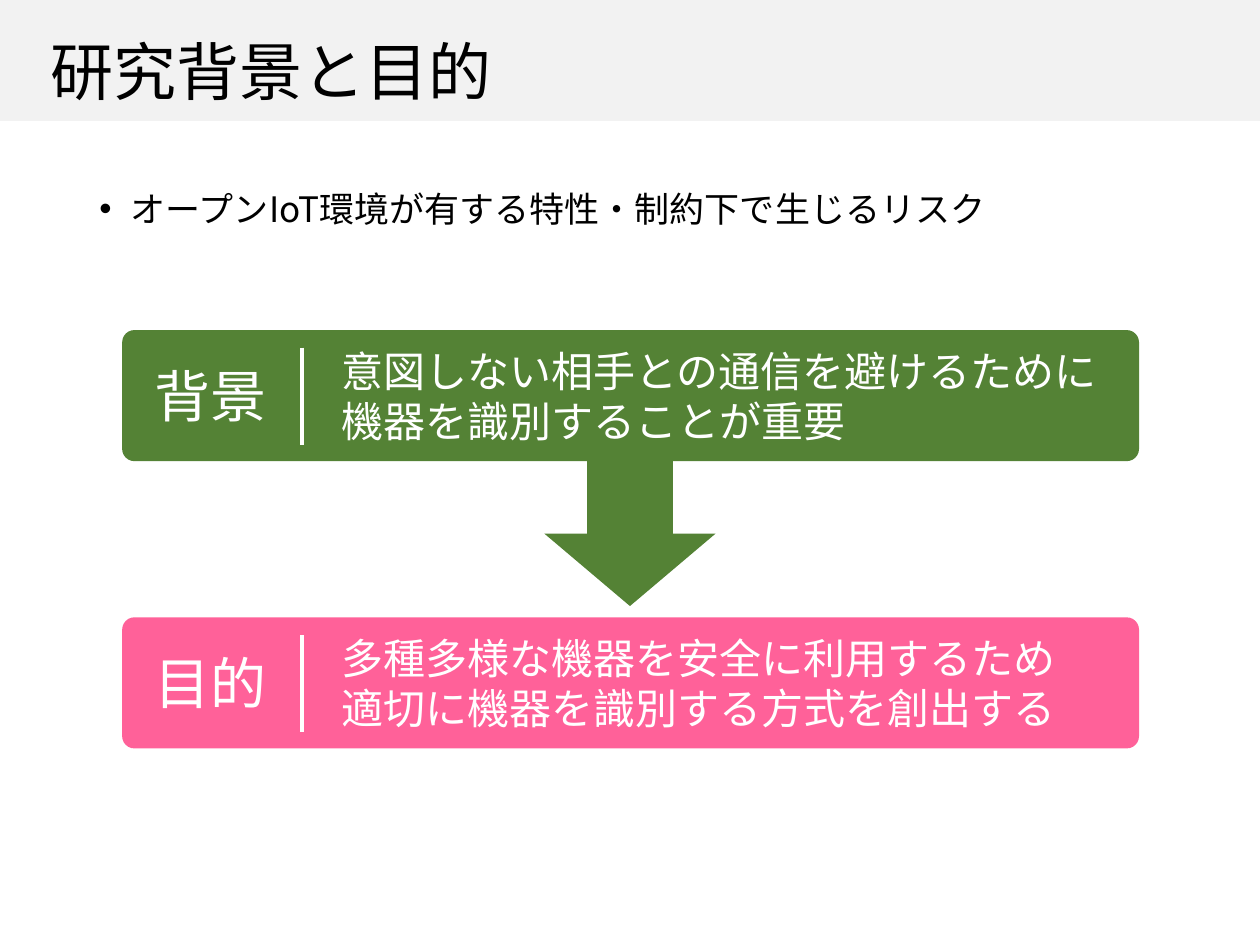
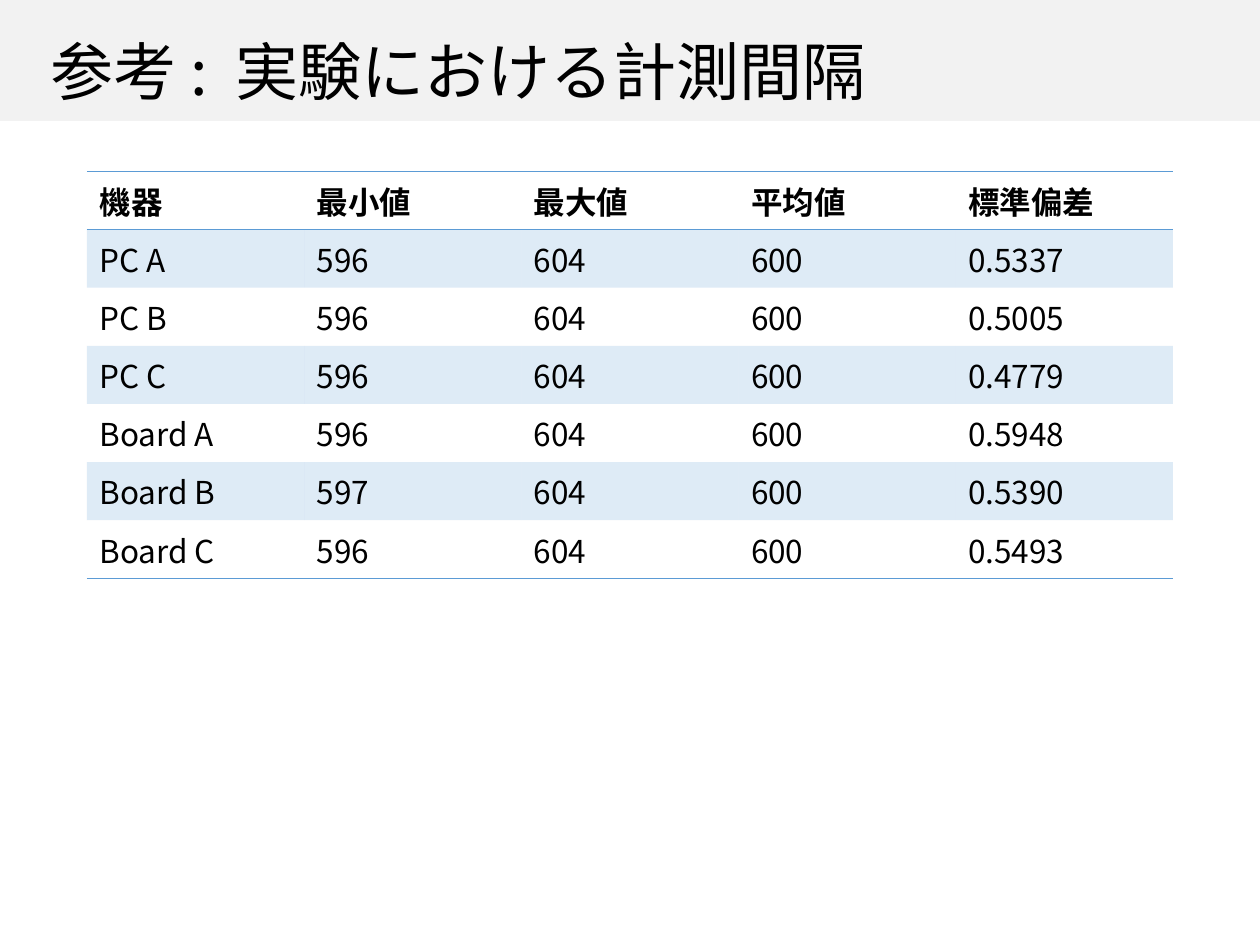
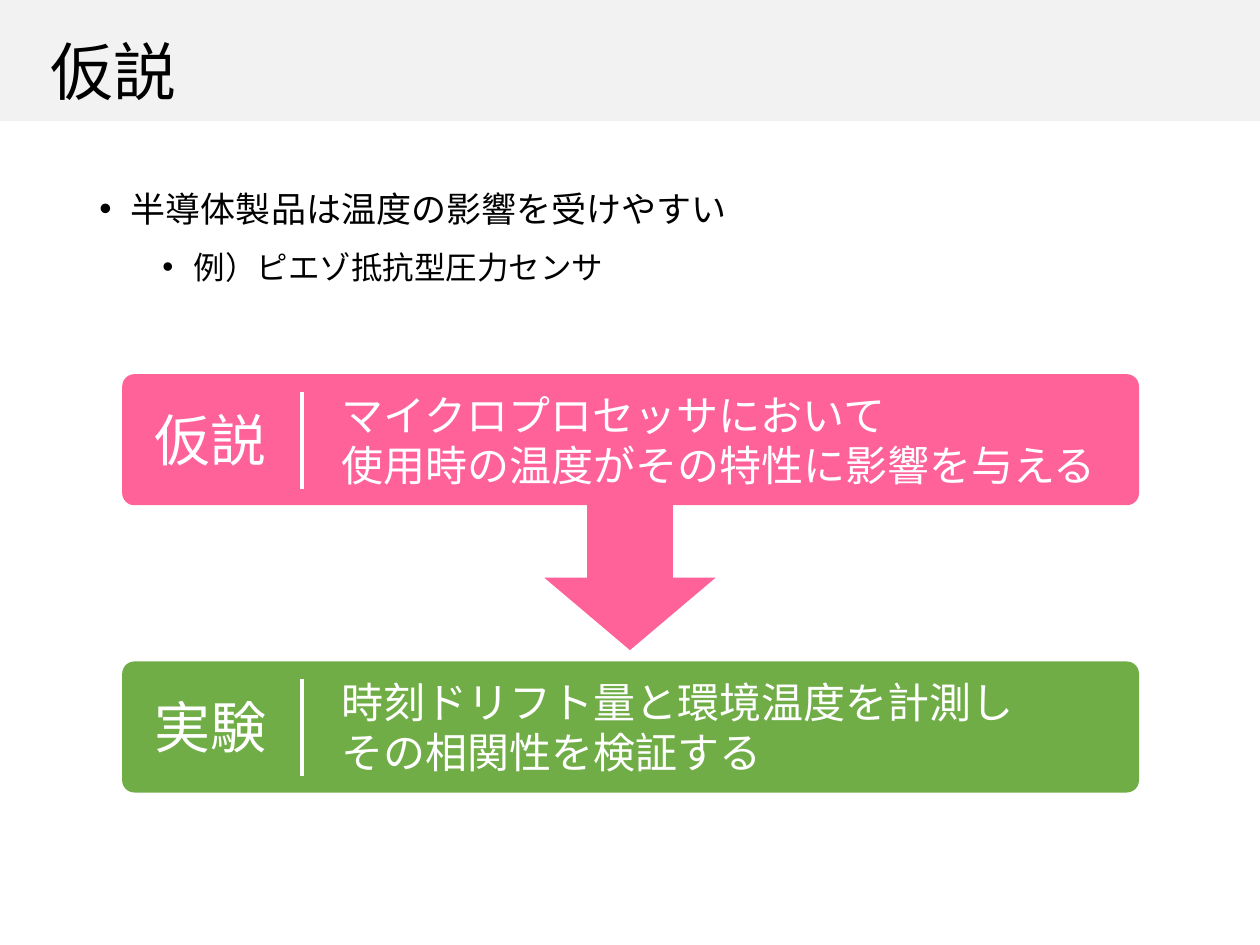
from lxml.etree import SubElement
from pptx import Presentation
from pptx.dml.color import RGBColor
from pptx.enum.shapes import MSO_CONNECTOR, MSO_SHAPE
from pptx.enum.text import MSO_ANCHOR
from pptx.oxml.ns import qn
from pptx.util import Inches, Pt

FONT = "Noto Sans CJK JP"
BLACK = "000000"
WHITE = "FFFFFF"
BAND = "F2F2F2"
DARK_GREEN = "548235"
GREEN = "70AD47"
PINK = "FF6199"
BLUE = "5B9BD5"
NO_GRID_STYLE = "{2D5ABB26-0587-4C30-8999-92F81FD0307C}"

SLIDE_WIDTH, SLIDE_HEIGHT = 10, 7.5
BAND_HEIGHT = 0.96
CONTENT_LEFT, CONTENT_TOP, CONTENT_WIDTH = 0.69, 1.36, 8.62
TABLE_HEIGHT = 3.23
PANEL_LEFT, PANEL_WIDTH, PANEL_HEIGHT = 0.97, 8.07, 1.04
PANEL_PITCH = 2.28
ARROW_WIDTH, ARROW_HEIGHT = 1.36, 1.15
MESSAGE_SIZE = 24


def color(value):
    return RGBColor.from_string(value)


def box(left, top, width, height):
    return [Inches(length) for length in (left, top, width, height)]


def style_paragraph(paragraph, size, font_color, bold=False):
    font = paragraph.font
    font.size = Pt(size)
    font.bold = bold
    font.color.rgb = color(font_color)
    font.name = FONT
    properties = paragraph._p.get_or_add_pPr().find(qn("a:defRPr"))
    SubElement(properties, qn("a:ea"), typeface=FONT)


def add_text(shapes, position, lines, size, font_color):
    text_box = shapes.add_textbox(*box(*position))
    frame = text_box.text_frame
    frame.word_wrap = True
    for index, line in enumerate(lines):
        paragraph = frame.paragraphs[0] if index == 0 else frame.add_paragraph()
        paragraph.text = line
        style_paragraph(paragraph, size, font_color)
    return frame


def add_filled_shape(shapes, kind, position, fill):
    shape = shapes.add_shape(kind, *box(*position))
    shape.shadow.inherit = False
    shape.fill.solid()
    shape.fill.fore_color.rgb = color(fill)
    shape.line.fill.background()
    return shape


def add_titled_slide(presentation, title):
    slide = presentation.slides.add_slide(presentation.slide_layouts[6])
    add_filled_shape(slide.shapes, MSO_SHAPE.RECTANGLE, (0, 0, SLIDE_WIDTH, BAND_HEIGHT), BAND)
    frame = add_text(slide.shapes, (0.3, 0, 9.4, BAND_HEIGHT), [title], 36, BLACK)
    frame.vertical_anchor = MSO_ANCHOR.MIDDLE
    frame.paragraphs[0].line_spacing = 1.25
    return slide


def add_bullets(slide, lines):
    frame = add_text(slide.shapes, (CONTENT_LEFT, CONTENT_TOP, CONTENT_WIDTH, 5.4), lines, 20, BLACK)
    for level, paragraph in enumerate(frame.paragraphs):
        paragraph.level = level
        paragraph.line_spacing = 1.25
        paragraph.space_before = Pt(10 - 5 * level)
        paragraph.font.size = Pt(20 - 2 * level)
        properties = paragraph._p.get_or_add_pPr()
        properties.set("marL", str(Inches(0.25 + 0.5 * level)))
        properties.set("indent", str(Inches(-0.25)))
        bullet_font = SubElement(properties, qn("a:buFont"), typeface="Arial")
        bullet = SubElement(properties, qn("a:buChar"), char="•")
        for element in (bullet_font, bullet):
            properties.find(qn("a:defRPr")).addprevious(element)


def add_panel(shapes, left, top, label, message, fill):
    panel = add_filled_shape(
        shapes, MSO_SHAPE.ROUNDED_RECTANGLE, (left, top, PANEL_WIDTH, PANEL_HEIGHT), fill)
    panel.adjustments[0] = 0.093
    divider_left = Inches(left + 1.43)
    divider = shapes.add_connector(
        MSO_CONNECTOR.STRAIGHT, divider_left, Inches(top + 0.14), divider_left, Inches(top + 0.91))
    divider.line.color.rgb = color(WHITE)
    divider.line.width = Pt(2.25)
    SubElement(divider._element.spPr, qn("a:effectLst"))
    longest = max(len(line) for text in message for line in text.split("\n"))
    message_width = longest * MESSAGE_SIZE / 72 + 0.25
    add_text(shapes, (left + 1.64, top + 0.07, message_width, 0.91), message, MESSAGE_SIZE, WHITE)
    add_text(shapes, (left + 0.16, top + 0.2, 1.1, 0.64), [label], 32, WHITE)


def add_flow(slide, top, first, second):
    shapes = slide.shapes.add_group_shape().shapes
    add_panel(shapes, PANEL_LEFT, top, *first)
    arrow_left = (SLIDE_WIDTH - ARROW_WIDTH) / 2
    add_filled_shape(
        shapes, MSO_SHAPE.DOWN_ARROW,
        (arrow_left, top + PANEL_HEIGHT, ARROW_WIDTH, ARROW_HEIGHT), first[-1])
    add_panel(shapes, PANEL_LEFT, top + PANEL_PITCH, *second)


def add_borders(cell, sides):
    properties = cell._tc.get_or_add_tcPr()
    for index, side in enumerate(sides):
        line = SubElement(properties, qn(f"a:ln{side}"), w=str(Pt(1)))
        fill = SubElement(line, qn("a:solidFill"))
        SubElement(fill, qn("a:srgbClr"), val=BLUE)
        properties.insert(index, line)


def fill_cell(cell, shaded):
    if not shaded:
        cell.fill.background()
        return
    cell.fill.solid()
    cell.fill.fore_color.rgb = color(BLUE)
    shade = cell._tc.tcPr.find(qn("a:solidFill")).find(qn("a:srgbClr"))
    SubElement(shade, qn("a:alpha"), val="20000")


def add_data_table(slide, rows):
    frame = slide.shapes.add_table(
        len(rows), len(rows[0]), *box(CONTENT_LEFT, CONTENT_TOP, CONTENT_WIDTH, TABLE_HEIGHT))
    table = frame.table
    table.horz_banding = False
    table._tbl.tblPr.find(qn("a:tableStyleId")).text = NO_GRID_STYLE
    borders = {0: "TB", len(rows) - 1: "B"}
    for row_index, row in enumerate(rows):
        for column_index, value in enumerate(row):
            cell = table.cell(row_index, column_index)
            cell.text = value
            style_paragraph(cell.text_frame.paragraphs[0], 18, BLACK, bold=row_index == 0)
            fill_cell(cell, row_index % 2 == 1)
            add_borders(cell, borders.get(row_index, ""))


def main():
    presentation = Presentation()
    presentation.slide_width = Inches(SLIDE_WIDTH)
    presentation.slide_height = Inches(SLIDE_HEIGHT)

    background = add_titled_slide(presentation, "研究背景と目的")
    add_bullets(background, ["オープンIoT環境が有する特性・制約下で生じるリスク"])
    add_flow(
        background, 2.62,
        ("背景", ["意図しない相手との通信を避けるために\n機器を識別することが重要"], DARK_GREEN),
        ("目的", ["多種多様な機器を安全に利用するため\n適切に機器を識別する方式を創出する"], PINK))

    intervals = add_titled_slide(presentation, "参考 :  実験における計測間隔")
    add_data_table(intervals, [
        ("機器", "最小値", "最大値", "平均値", "標準偏差"),
        ("PC A", "596", "604", "600", "0.5337"),
        ("PC B", "596", "604", "600", "0.5005"),
        ("PC C", "596", "604", "600", "0.4779"),
        ("Board A", "596", "604", "600", "0.5948"),
        ("Board B", "597", "604", "600", "0.5390"),
        ("Board C", "596", "604", "600", "0.5493"),
    ])

    hypothesis = add_titled_slide(presentation, "仮説")
    add_bullets(hypothesis, ["半導体製品は温度の影響を受けやすい", "例）ピエゾ抵抗型圧力センサ"])
    add_flow(
        hypothesis, 2.97,
        ("仮説", ["マイクロプロセッサにおいて\n使用時の温度がその特性に影響を与える"], PINK),
        ("実験", ["時刻ドリフト量と環境温度を計測し", "その相関性を検証する"], GREEN))

    presentation.save("out.pptx")


if __name__ == "__main__":
    main()
